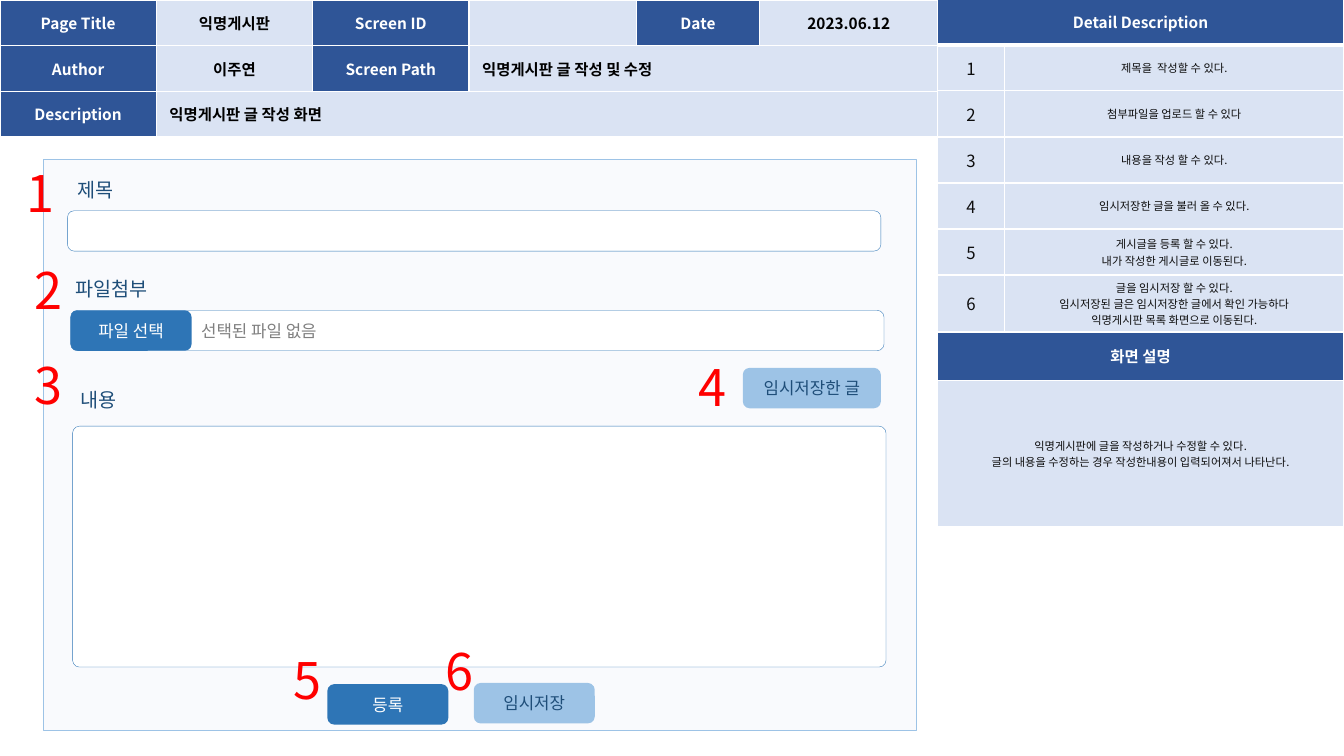
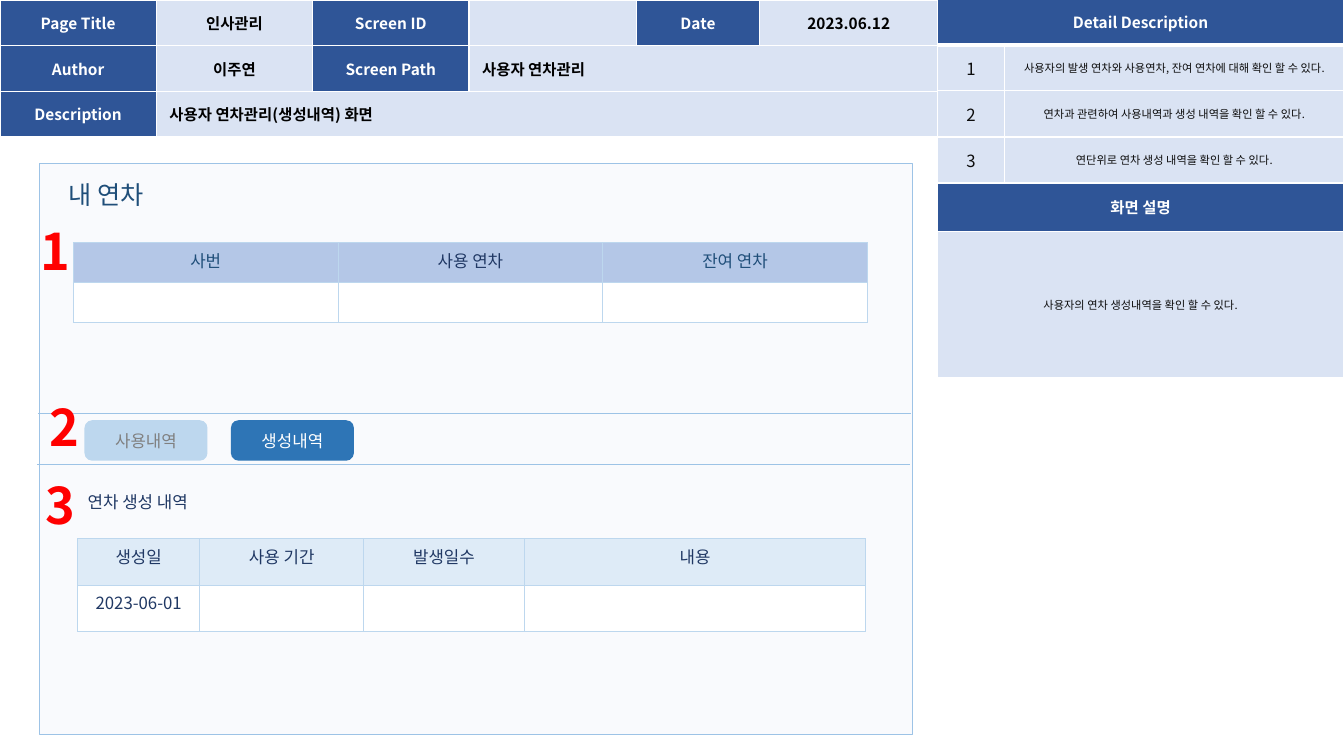
import pptx
import pptx.dml.color
import pptx.enum.shapes
import pptx.enum.text
import pptx.oxml
import pptx.oxml.ns
import pptx.util

Cm, Pt = pptx.util.Cm, pptx.util.Pt
RGBColor = pptx.dml.color.RGBColor
SHAPE = pptx.enum.shapes.MSO_SHAPE
ALIGN = pptx.enum.text.PP_ALIGN
ANCHOR = pptx.enum.text.MSO_ANCHOR

FONT = "Noto Sans CJK KR"
WHITE = RGBColor(0xFF, 0xFF, 0xFF)
BLACK = RGBColor(0x00, 0x00, 0x00)
INK = RGBColor(0x0D, 0x0D, 0x0D)
NAVY = RGBColor(0x2F, 0x55, 0x97)
PALE = RGBColor(0xDA, 0xE3, 0xF3)
PANEL = RGBColor(0xF9, 0xFA, 0xFD)
BLUE = RGBColor(0x2E, 0x75, 0xB6)
SKY = RGBColor(0x9D, 0xC3, 0xE6)
LIGHT_SKY = RGBColor(0xBD, 0xD7, 0xEE)
ICE = RGBColor(0xDE, 0xEB, 0xF7)
PERIWINKLE = RGBColor(0xB4, 0xC7, 0xE7)
TEAL = RGBColor(0x1F, 0x4E, 0x79)
DEEP = RGBColor(0x20, 0x38, 0x64)
GRAY = RGBColor(0x80, 0x80, 0x80)
RED = RGBColor(0xFF, 0x00, 0x00)

HEADER_COLS = [3.94, 3.94, 3.94, 4.22, 3.1, 4.5]
DETAIL_COLS = [1.7, 8.55]
DETAIL_ROW = 1.16
PANEL_W, PANEL_H = 22, 14.4
FIELD_W = 20.5
CONTROL_H = 1.02
WIDE_MARGINS = (0.33, 0.13)
NARROW_MARGINS = (0.25, 0.1)


def write(frame, text, size, color, bold=False, align=ALIGN.LEFT):
    frame.text = text
    for paragraph in frame.paragraphs:
        paragraph.alignment = align
        if not paragraph.runs:
            # An empty line keeps the row as low as a written one.
            paragraph._p.get_or_add_endParaRPr().set("sz", str(size * 100))
        for run in paragraph.runs:
            run.font.size = Pt(size)
            run.font.bold = bold
            run.font.name = FONT
            run.font.color.rgb = color
            east_asian = pptx.oxml.parse_xml(
                f'<a:ea {pptx.oxml.ns.nsdecls("a")} typeface="{FONT}"/>')
            run.font._element.find(pptx.oxml.ns.qn("a:latin")).addnext(east_asian)


def set_borders(cell, color, width, bottom=None):
    properties = cell._tc.get_or_add_tcPr()
    for index, side in enumerate("LRTB"):
        points = bottom if side == "B" and bottom else width
        properties.insert(index, pptx.oxml.parse_xml(
            f'<a:ln{side} {pptx.oxml.ns.nsdecls("a")} w="{Pt(points)}"><a:solidFill>'
            f'<a:srgbClr val="{color}"/></a:solidFill></a:ln{side}>'))


def add_grid(slide, left, top, cols, rows):
    grid = slide.shapes.add_table(len(rows), len(cols), Cm(left), Cm(top),
                                  Cm(sum(cols)), Cm(sum(rows))).table
    grid.first_row = grid.horz_banding = False
    for column, width in zip(grid.columns, cols):
        column.width = Cm(width)
    for row, height in zip(grid.rows, rows):
        row.height = Cm(height)
    return grid


def fill_cell(cell, text, size, color, fill, bold=False, align=ALIGN.CENTER,
              margins=WIDE_MARGINS, bottom=None):
    """Format a cell of the header and detail tables."""
    cell.fill.solid()
    cell.fill.fore_color.rgb = fill
    cell.vertical_anchor = ANCHOR.MIDDLE
    cell.margin_left = cell.margin_right = Cm(margins[0])
    cell.margin_top = cell.margin_bottom = Cm(margins[1])
    set_borders(cell, WHITE, 1, bottom)
    write(cell.text_frame, text, size, color, bold, align)


def add_header(slide, page_title, screen_path, description):
    rows = [
        ["Page Title", page_title, "Screen ID", "", "Date", "2023.06.12"],
        ["Author", "이주연", "Screen Path", screen_path, "", ""],
        ["Description", description, "", "", "", ""],
    ]
    labels = {"Page Title", "Screen ID", "Date", "Author", "Screen Path", "Description"}
    grid = add_grid(slide, 0, 0, HEADER_COLS, [1.15] * 3)
    grid.cell(1, 3).merge(grid.cell(1, 5))
    grid.cell(2, 1).merge(grid.cell(2, 5))
    for r, row in enumerate(rows):
        for c, text in enumerate(row):
            is_label = text in labels
            cell = grid.cell(r, c)
            fill_cell(cell, text, 11, WHITE if is_label else BLACK,
                      NAVY if is_label else PALE, True,
                      ALIGN.LEFT if cell.is_merge_origin else ALIGN.CENTER)


def add_details(slide, details, summary):
    heights = [DETAIL_ROW] * (len(details) + 1) + [1.22, 3.68]
    grid = add_grid(slide, 23.62, -0.03, DETAIL_COLS, heights)
    summary_row = len(heights) - 1
    bands = [(0, "Detail Description", 3), (summary_row - 1, "화면 설명", None)]
    for r, text, bottom in bands:
        grid.cell(r, 0).merge(grid.cell(r, 1))
        fill_cell(grid.cell(r, 0), text, 11, WHITE, NAVY, True, bottom=bottom)
        fill_cell(grid.cell(r, 1), "", 11, WHITE, NAVY, bottom=bottom)
    for number, detail in enumerate(details, 1):
        fill_cell(grid.cell(number, 0), str(number), 12, INK, PALE)
        fill_cell(grid.cell(number, 1), detail, 8, INK, PALE, margins=NARROW_MARGINS)
    grid.cell(summary_row, 0).merge(grid.cell(summary_row, 1))
    fill_cell(grid.cell(summary_row, 0), summary, 8, INK, PALE)
    fill_cell(grid.cell(summary_row, 1), "", 8, INK, PALE)


class Screen:
    """Panel of a screen mock-up; its parts are placed from its top left corner."""

    def __init__(self, slide, left, top):
        self.slide, self.left, self.top = slide, left, top
        self.box(SHAPE.RECTANGLE, 0, 0, PANEL_W, PANEL_H, PANEL, SKY, 0.5)

    def at(self, x, y):
        return Cm(self.left + x), Cm(self.top + y)

    def box(self, kind, x, y, width, height, fill, line=None, line_width=0.25):
        shape = self.slide.shapes.add_shape(kind, *self.at(x, y), Cm(width), Cm(height))
        shape.shadow.inherit = False
        shape.fill.solid()
        shape.fill.fore_color.rgb = fill
        if line is None:
            shape.line.fill.background()
        else:
            shape.line.color.rgb = line
            shape.line.width = Pt(line_width)
        return shape

    def field(self, x, y, height=CONTROL_H):
        shape = self.box(SHAPE.ROUNDED_RECTANGLE, x, y, FIELD_W, height, WHITE, BLUE)
        shape.adjustments[0] = 0.17 * CONTROL_H / height

    def button(self, text, x, y, fill, color, width=3.05, rounding=0.17):
        shape = self.box(SHAPE.ROUNDED_RECTANGLE, x, y, width, CONTROL_H, fill)
        shape.adjustments[0] = rounding
        shape.text_frame.vertical_anchor = ANCHOR.MIDDLE
        write(shape.text_frame, text, 12, color, align=ALIGN.CENTER)

    def label(self, text, x, y, size=14, color=TEAL, bold=False, width=6.5, height=0.86):
        frame = self.slide.shapes.add_textbox(
            *self.at(x, y), Cm(width), Cm(height)).text_frame
        frame.word_wrap = True
        write(frame, text, size, color, bold)

    def callouts(self, places, bold=False):
        for number, (x, y) in enumerate(places, 1):
            self.label(str(number), x, y, 36, RED, bold, 1.63, 1.8)

    def rule(self, x, y):
        line = self.slide.shapes.add_connector(
            pptx.enum.shapes.MSO_CONNECTOR.STRAIGHT,
            *self.at(x, y), *self.at(x + PANEL_W, y))
        line.line.color.rgb = SKY
        line.line.width = Pt(0.5)
        line._element.spPr.append(
            pptx.oxml.parse_xml(f'<a:effectLst {pptx.oxml.ns.nsdecls("a")}/>'))

    def data_table(self, x, y, cols, row_height, rows, head_fill, colors):
        grid = add_grid(self.slide, self.left + x, self.top + y, cols,
                        [row_height] * len(rows))
        for r, row in enumerate(rows):
            for c, text in enumerate(row):
                cell = grid.cell(r, c)
                cell.fill.solid()
                cell.fill.fore_color.rgb = WHITE if r else head_fill
                set_borders(cell, LIGHT_SKY, 0.75)
                write(cell.text_frame, text, 12, colors[c], align=ALIGN.CENTER)


def add_post_form(slide, left, top):
    form = Screen(slide, left, top)
    form.label("제목", 0.61, 0.36)
    form.field(0.61, 1.3)
    form.label("파일첨부", 0.56, 2.84)
    form.field(0.69, 3.81)
    form.button("파일 선택", 0.69, 3.81, BLUE, WHITE)
    form.label("선택된 파일 없음", 3.73, 3.94, 12, GRAY)
    form.label("내용", 0.69, 5.64)
    form.button("임시저장한 글", 17.63, 5.26, SKY, TEAL, 3.48)
    form.field(0.74, 6.73, 6.07)
    form.button("등록", 7.16, 13.23, BLUE, WHITE)
    form.button("임시저장", 10.85, 13.2, SKY, TEAL)
    form.callouts([(-0.66, -0.05), (-0.48, 2.39), (-0.48, 4.78),
                   (16.26, 4.85), (6.05, 12.22), (9.88, 11.99)])


def add_leave_screen(slide, left, top):
    screen = Screen(slide, left, top)
    screen.label("내 연차", 0.48, 0.28, 18, height=1.02)
    screen.data_table(0.86, 2.01, [6.67] * 3, 1,
                      [["사번", "사용 연차", "잔여 연차"], [""] * 3],
                      PERIWINKLE, [TEAL, DEEP, TEAL])
    screen.rule(-0.03, 6.3)
    screen.button("사용내역", 1.14, 6.48, LIGHT_SKY, GRAY, 3.1, 0.19)
    screen.button("생성내역", 4.83, 6.48, BLUE, WHITE, 3.1, 0.19)
    screen.rule(-0.05, 7.59)
    screen.label("연차 생성 내역", 0.97, 8.15, 12, DEEP)
    screen.data_table(0.97, 9.47, [3.07, 4.14, 4.04, 8.61], DETAIL_ROW,
                      [["생성일", "사용 기간", "발생일수", "내용"],
                       ["2023-06-01", "", "", ""]],
                      ICE, [DEEP] * 4)
    screen.callouts([(-0.23, 1.32), (0, 5.74), (-0.08, 7.7)], bold=True)


def main():
    deck = pptx.Presentation()
    deck.slide_width, deck.slide_height = Cm(33.87), Cm(19.05)
    blank = deck.slide_layouts[6]

    post = deck.slides.add_slide(blank)
    add_header(post, "익명게시판", "익명게시판 글 작성 및 수정", "익명게시판 글 작성 화면")
    add_details(post, [
        "제목을  작성할 수 있다.",
        "첨부파일을 업로드 할 수 있다",
        "내용을 작성 할 수 있다.",
        "임시저장한 글을 불러 올 수 있다.",
        "게시글을 등록 할 수 있다.\n내가 작성한 게시글로 이동된다.",
        "글을 임시저장 할 수 있다.\n임시저장된 글은 임시저장한 글에서 확인 가능하다\n"
        "익명게시판 목록 화면으로 이동된다.",
    ], "익명게시판에 글을 작성하거나 수정할 수 있다.\n"
       "글의 내용을 수정하는 경우 작성한내용이 입력되어져서 나타난다.")
    add_post_form(post, 1.09, 4.01)

    leave = deck.slides.add_slide(blank)
    add_header(leave, "인사관리", "사용자 연차관리", "사용자 연차관리(생성내역) 화면")
    add_details(leave, [
        "사용자의 발생 연차와 사용연차, 잔여 연차에 대해 확인 할 수 있다.",
        "연차과 관련하여 사용내역과 생성 내역을 확인 할 수 있다.",
        "연단위로 연차 생성 내역을 확인 할 수 있다.",
    ], "사용자의 연차 생성내역을 확인 할 수 있다.")
    add_leave_screen(leave, 0.99, 4.11)

    deck.save("out.pptx")


if __name__ == "__main__":
    main()
